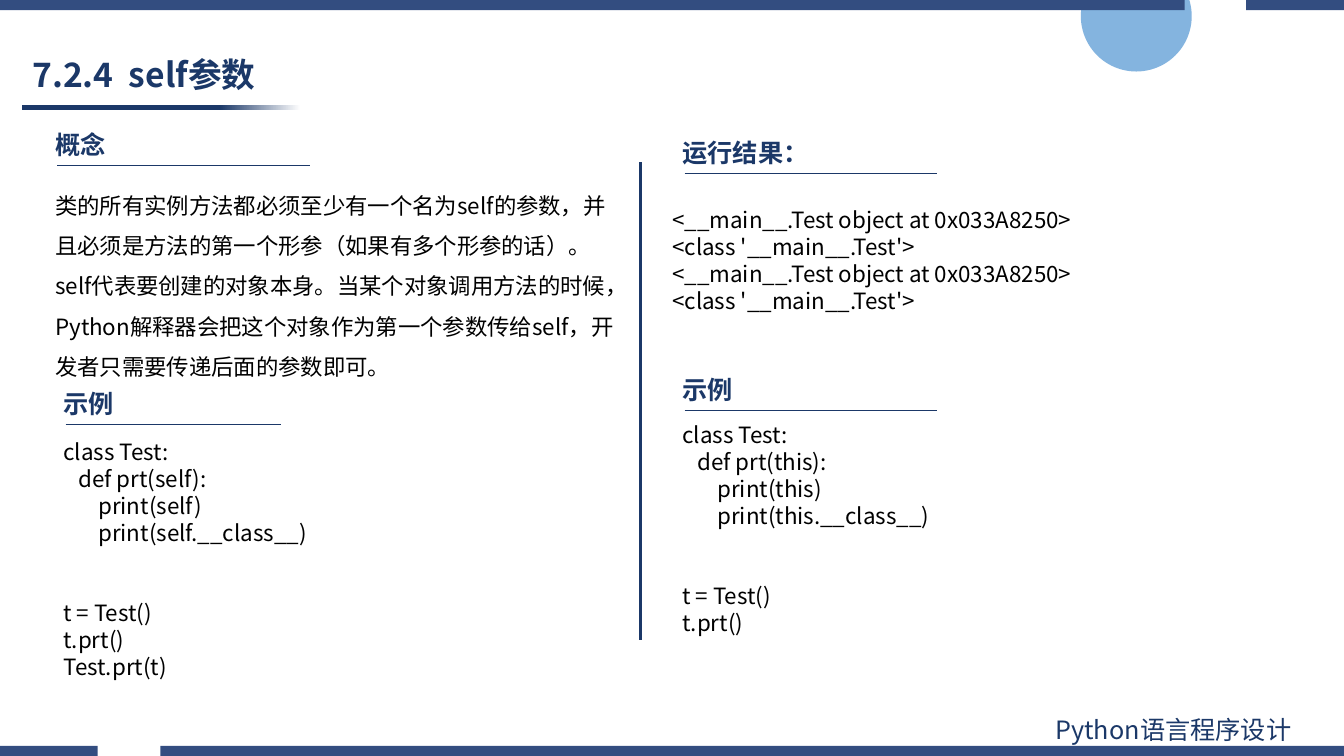
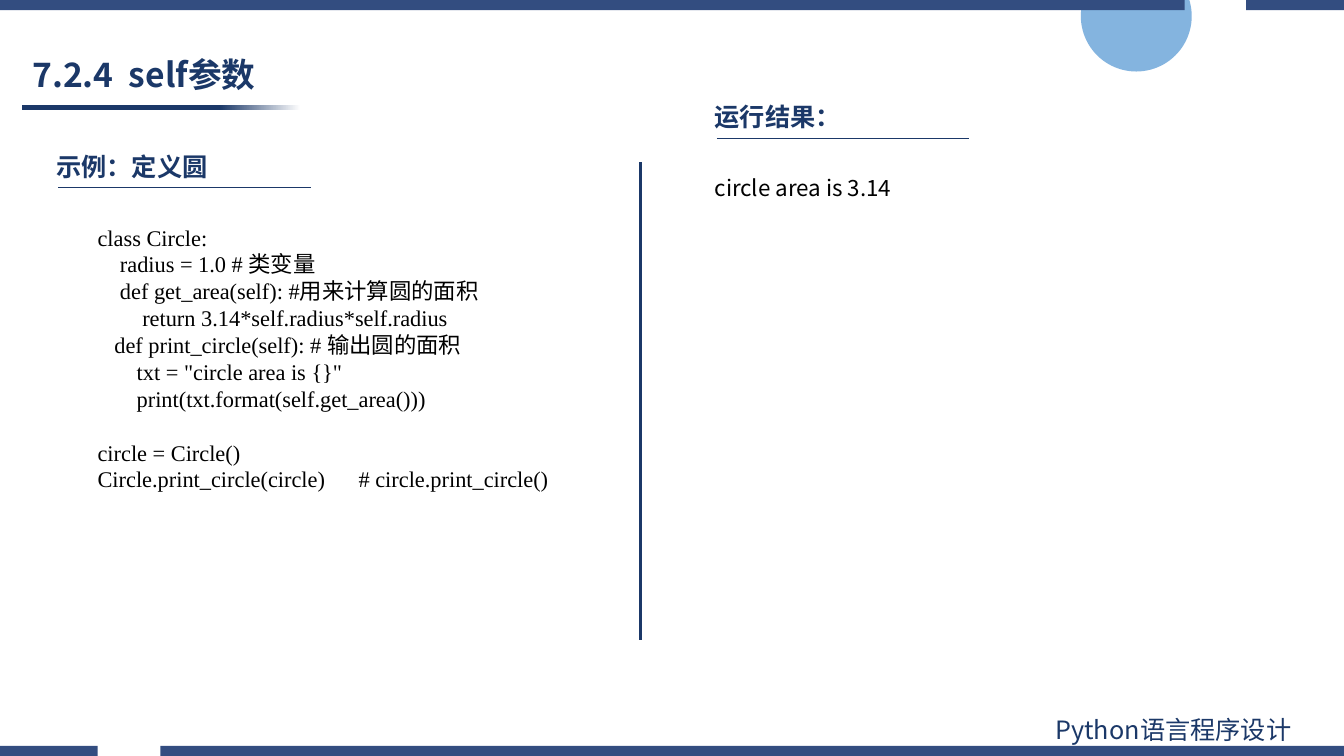
from lxml import etree
from pptx import Presentation
from pptx.dml.color import RGBColor
from pptx.enum.shapes import MSO_CONNECTOR, MSO_SHAPE
from pptx.enum.text import MSO_ANCHOR, MSO_AUTO_SIZE, PP_ALIGN
from pptx.oxml.ns import qn
from pptx.util import Inches, Pt

RECT, OVAL = MSO_SHAPE.RECTANGLE, MSO_SHAPE.OVAL
STRAIGHT = MSO_CONNECTOR.STRAIGHT
MIDDLE, LEFT, NO_FIT = MSO_ANCHOR.MIDDLE, PP_ALIGN.LEFT, MSO_AUTO_SIZE.NONE

NAVY, BAND, SKY, BLACK, WHITE = "1B3868", "334D80", "5B9BD5", "000000", "FFFFFF"
SANS, SERIF = "Noto Sans CJK SC", "Times New Roman"


def rgb(value):
    return RGBColor.from_string(value)


def write(tf, blocks, size, color, bold=False, face=SANS, spacing=1.2, indent=0, gap=0):
    tf.word_wrap = True
    tf.auto_size = NO_FIT
    p = None
    for block in blocks:
        for i, line in enumerate(block):
            first = p is None
            p = tf.paragraphs[0] if first else tf.add_paragraph()
            p.alignment = LEFT
            p.line_spacing = Pt(size * spacing)
            if indent:
                p._p.get_or_add_pPr().set("indent", str(Inches(indent)))
            if i == 0 and not first:
                p.space_before = Pt(size * spacing * gap)
            r = p.add_run()
            r.text = line
            r.font.size = Pt(size)
            r.font.bold = bold
            r.font.color.rgb = rgb(color)
            r.font.name = face
            etree.SubElement(r.font._element, qn("a:ea"), typeface=SANS)


prs = Presentation()
prs.slide_width = Inches(13.33)
prs.slide_height = Inches(7.5)
layout = prs.slide_layouts[5]
for ph in list(layout.placeholders):
    if ph.placeholder_format.idx != 0:
        ph.element.getparent().remove(ph.element)

slides = [prs.slides.add_slide(layout) for _ in range(2)]
shapes = slides[0].shapes

decor = []
for shape, x, y, w, h, color in [
    (OVAL, 10.72, -0.39, 1.1, 1.1, SKY),
    (RECT, 0.22, 1.04, 2.76, 0.05, NAVY),
    (RECT, 0, 0, 11.75, 0.1, BAND),
    (RECT, 12.36, 0, 0.97, 0.1, BAND),
    (RECT, 0, 7.4, 0.97, 0.1, BAND),
    (RECT, 1.59, 7.4, 11.74, 0.1, BAND),
]:
    sp = shapes.add_shape(shape, Inches(x), Inches(y), Inches(w), Inches(h))
    sp.shadow.inherit = False
    sp.line.fill.background()
    sp.fill.solid()
    sp.fill.fore_color.rgb = rgb(color)
    decor.append(sp)

circle, title_bar = decor[:2]
fill_color = circle.element.spPr.find(qn("a:solidFill"))[0]
etree.SubElement(fill_color, qn("a:alpha"), val="75000")
title_bar.fill.gradient()
title_bar.fill.gradient_angle = 0
for stop, position, color in zip(title_bar.fill.gradient_stops, (0.71, 1), (NAVY, WHITE)):
    stop.position = position
    stop.color.rgb = rgb(color)

footer = shapes.add_textbox(Inches(10.37), Inches(7.04), Inches(2.94), Inches(0.4))
write(footer.text_frame, [["Python语言程序设计"]], 18, NAVY)
for sp in decor + [footer]:
    layout.shapes.element.append(sp.element)

concept = [[
    "类的所有实例方法都必须至少有一个名为self的参数，并且必须是方法的第一个形参（如果有多个形参的话）。",
    "self代表要创建的对象本身。当某个对象调用方法的时候，Python解释器会把这个对象作为第一个参数传给self，开发者只需要传递后面的参数即可。",
]]
self_code = [
    ["class Test:", "   def prt(self):", "       print(self)", "       print(self.__class__)"],
    ["t = Test()", "t.prt()", "Test.prt(t)"],
]
this_code = [
    ["class Test:", "   def prt(this):", "       print(this)", "       print(this.__class__)"],
    ["t = Test()", "t.prt()"],
]
self_output = [["<__main__.Test object at 0x033A8250>", "<class '__main__.Test'>"] * 2]
circle_code = [
    [
        "class Circle:",
        "    radius = 1.0 # 类变量",
        "    def get_area(self): #用来计算圆的面积",
        "        return 3.14*self.radius*self.radius",
        "   def print_circle(self): # 输出圆的面积",
        "       txt = \"circle area is {}\"",
        "       print(txt.format(self.get_area()))",
    ],
    ["circle = Circle()", "Circle.print_circle(circle)      # circle.print_circle()"],
]

headings = [
    [
        ("概念", 0.45, 1.23, 2.5),
        ("示例", 0.53, 3.8, 2.14),
        ("运行结果：", 6.67, 1.31, 2.5),
        ("示例", 6.67, 3.66, 2.5),
    ],
    [("运行结果：", 6.99, 0.96, 2.5), ("示例：定义圆", 0.46, 1.45, 2.5)],
]
bodies = [
    [
        (concept, 0.45, 1.72, 5.77, 2.08, {"spacing": 1.8}),
        (self_code, 0.53, 4.3, 4.95, 2.56, {"gap": 2}),
        (self_output, 6.57, 2, 5.57, 1.18, {}),
        (this_code, 6.67, 4.13, 4, 2.26, {"gap": 2}),
    ],
    [
        ([["circle area is 3.14"]], 6.99, 1.68, 5.77, 0.37, {}),
        (circle_code, 0.58, 2.17, 5.46, 2.79, {"face": SERIF, "indent": 0.29, "gap": 1}),
    ],
]

for s, slide_headings, slide_bodies in zip(slides, headings, bodies):
    title = s.shapes.title
    title.left, title.top = Inches(0.22), Inches(0.45)
    title.width, title.height = Inches(5.71), Inches(0.56)
    title.text_frame.vertical_anchor = MIDDLE
    write(title.text_frame, [["7.2.4  self参数"]], 24, NAVY, bold=True)

    lines = [(6.35, 1.61, 6.35, 6.35, 2)]
    for text, x, y, length in slide_headings:
        box = s.shapes.add_textbox(Inches(x), Inches(y), Inches(3.4), Inches(0.4))
        write(box.text_frame, [[text]], 18, NAVY, bold=True)
        lines.append((x + 0.12, y + 0.41, x + 0.12 + length, y + 0.41, 0.5))

    for x1, y1, x2, y2, weight in lines:
        ln = s.shapes.add_connector(STRAIGHT, Inches(x1), Inches(y1), Inches(x2), Inches(y2))
        ln.line.color.rgb = rgb(NAVY)
        ln.line.width = Pt(weight)
        etree.SubElement(ln.element.spPr, qn("a:effectLst"))

    for blocks, x, y, w, h, style in slide_bodies:
        box = s.shapes.add_textbox(Inches(x), Inches(y), Inches(w), Inches(h))
        write(box.text_frame, blocks, 16, BLACK, **style)

prs.save("out.pptx")
